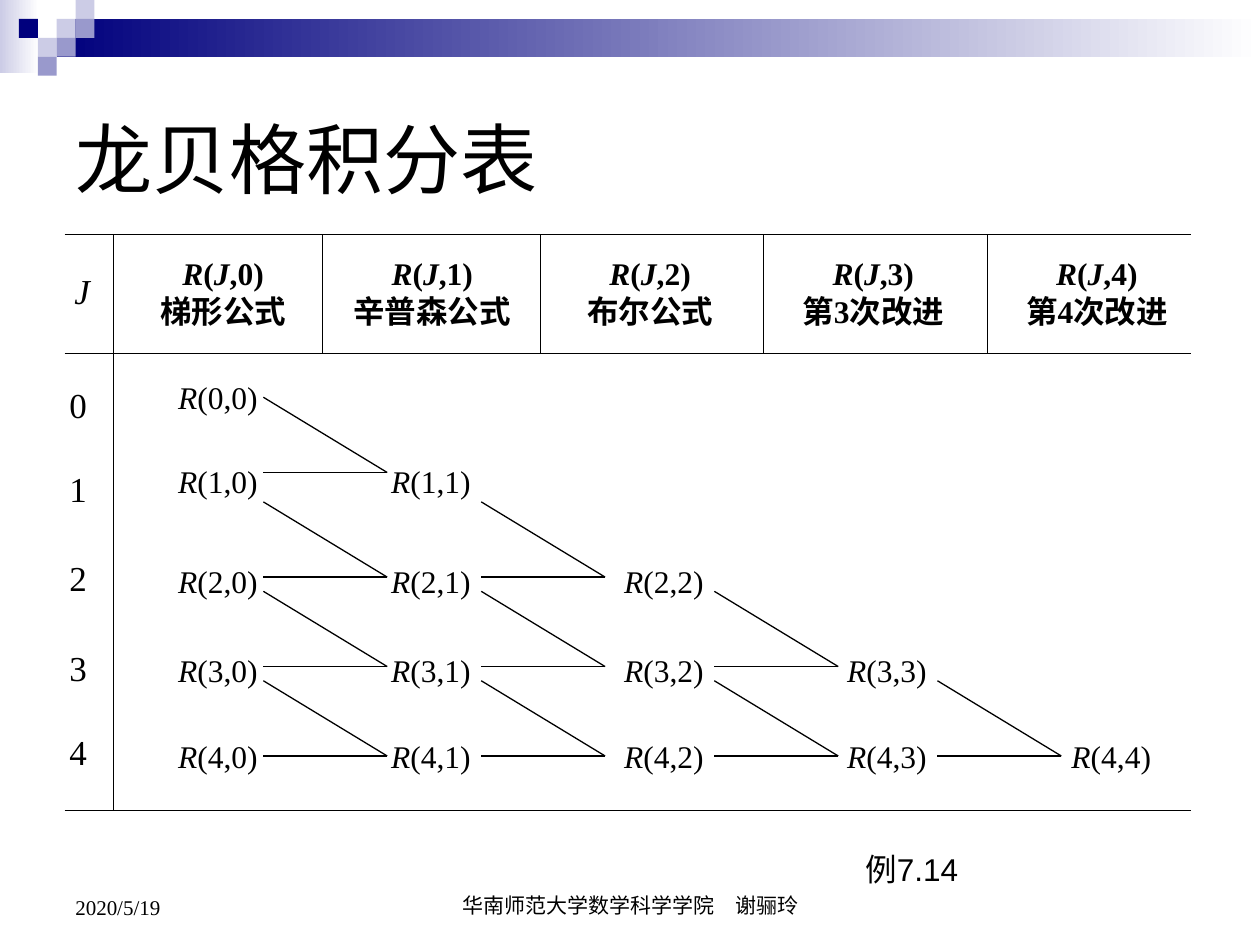
from itertools import groupby
from pptx import Presentation
from pptx.dml.color import RGBColor
from pptx.enum.shapes import MSO_CONNECTOR, MSO_SHAPE
from pptx.enum.text import MSO_ANCHOR, PP_ALIGN
from pptx.oxml.ns import qn
from pptx.util import Pt

HUES = {"ink": "000000", "navy": "00007D", "mid": "9999CC", "pale": "CCCCE6", "white": "FFFFFF"}


class Deck:
    """Holds the style and the current slide, and draws each kind of element."""

    def __init__(self, slide, font="Times New Roman"):
        self.slide, self.font = slide, font

    def hue(self, name):
        return RGBColor.from_string(HUES[name])

    def rect(self, x, y, w, h, *hues):
        box = self.slide.shapes.add_shape(MSO_SHAPE.RECTANGLE, Pt(x), Pt(y), Pt(w), Pt(h))
        box.shadow.inherit = False
        box.line.fill.background()
        if len(hues) == 1:
            box.fill.solid()
            box.fill.fore_color.rgb = self.hue(hues[0])
            return
        box.fill.gradient()
        box.fill.gradient_angle = 0
        for stop, name in zip(box.fill.gradient_stops, hues):
            stop.color.rgb = self.hue(name)

    def line(self, x1, y1, x2, y2):
        rule = self.slide.shapes.add_connector(
            MSO_CONNECTOR.STRAIGHT, Pt(x1), Pt(y1), Pt(x2), Pt(y2))
        rule.line.color.rgb = self.hue("ink")
        rule.line.width = Pt(0.75)
        props = rule._element.spPr
        props.append(props.makeelement(qn("a:effectLst"), {}))

    def text(self, x, y, w, h, words, size, align=PP_ALIGN.LEFT, anchor=MSO_ANCHOR.TOP,
             pad=0, bold=False, font=None):
        box = self.slide.shapes.add_textbox(Pt(x), Pt(y), Pt(w), Pt(h))
        frame = box.text_frame
        frame.word_wrap = True
        frame.vertical_anchor = anchor
        frame.margin_left = frame.margin_right = Pt(pad)
        frame.margin_top = frame.margin_bottom = Pt(pad / 2)
        for num, row in enumerate(words.split("\n")):
            para = frame.add_paragraph() if num else frame.paragraphs[0]
            para.alignment = align
            for slant, part in groupby(row, lambda sign: sign in "RJ"):
                run = para.add_run()
                run.text = "".join(part)
                run.font.name = font or self.font
                run.font.size = Pt(size)
                run.font.bold, run.font.italic = bold, slant
                run.font.color.rgb = self.hue("ink")


def main():
    show = Presentation()
    show.slide_width, show.slide_height = Pt(720), Pt(540)
    deck = Deck(show.slides.add_slide(show.slide_layouts[6]))
    mid = PP_ALIGN.CENTER

    unit = 10.8
    deck.rect(0, 0, 22.3, 41.8, "pale", "white")
    deck.rect(3 * unit, unit, 720 - 3 * unit, 21.6, "navy", "white")
    tiles = [(3, 1, "pale"), (4, 0, "pale"), (4, 1, "mid"), (2, 2, "pale"),
             (1, 1, "navy"), (3, 2, "mid"), (2, 3, "mid")]
    for col, row, name in tiles:
        deck.rect(col * unit, row * unit, unit, unit, name)

    deck.text(246.2, 491.8, 228.2, 36, "华南师范大学数学科学学院　谢骊玲", 12, mid,
              MSO_ANCHOR.BOTTOM, 7.2)
    deck.text(36, 491.8, 167.8, 37.4, "2020/5/19", 12, anchor=MSO_ANCHOR.BOTTOM, pad=7.2)
    deck.text(36, 36, 648, 108, "龙贝格积分表", 44, anchor=MSO_ANCHOR.MIDDLE, pad=7.2)

    top, head, foot = 134, 202.2, 463
    for y in (top, head, foot):
        deck.line(36.9, y, 680.4, y)
    rules = [65, 184.5, 309, 436.5, 564.3]
    for x in rules:
        deck.line(x, top, x, foot if x == rules[0] else head)

    deck.text(42.5, 154.1, 25.2, 23.8, "J", 20)
    for num, y in enumerate([218.9, 267.1, 318.2, 369.4, 417.6]):
        deck.text(39.6, y, 25.2, 23.8, str(num), 20)
    names = ["梯形公式", "辛普森公式", "布尔公式", "第3次改进", "第4次改进"]
    for num, (x, name) in enumerate(zip(rules, names)):
        deck.text(x + 11.4, 145.4, 102.2, 43.2, f"R(J,{num})\n{name}", 18, mid, bold=True)

    cols = [90.7, 212.4, 345.6, 473, 601.2]
    rows = [216, 264.2, 321.1, 372.2, 421.2]
    for row, y in enumerate(rows):
        for col, x in enumerate(cols[:row + 1]):
            deck.text(x, y, 67.7, 21.6, f"R({row},{col})", 18, mid)

    run, rise = 70.8, 43
    for col, x in enumerate([150.5, 275, 408.2, 535.7]):
        for y in [270, 329.8, 380.9, 432][col:]:
            deck.line(x, y - rise, x + run, y)
            deck.line(x, y, x + run, y)

    deck.text(487.4, 482.4, 187.2, 28.8, "例7.14", 18, pad=7.2, font="Arial")
    show.save("out.pptx")


if __name__ == "__main__":
    main()
